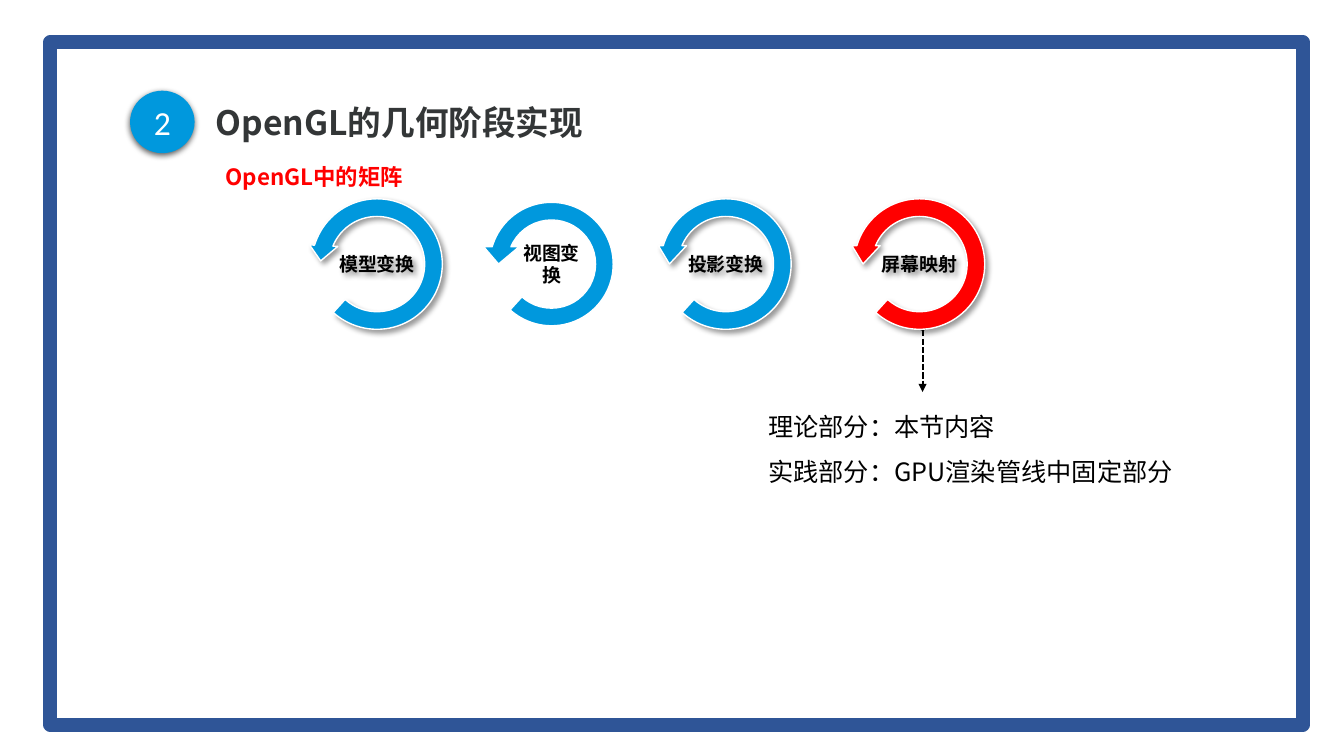
from lxml.etree import SubElement
from pptx import Presentation
from pptx.dml.color import RGBColor
from pptx.enum.dml import MSO_LINE
from pptx.enum.shapes import MSO_CONNECTOR, MSO_SHAPE
from pptx.enum.text import MSO_ANCHOR, MSO_AUTO_SIZE, PP_ALIGN
from pptx.oxml.ns import qn
from pptx.util import Inches, Pt

BLUE = RGBColor(0x00, 0x98, 0xDD)
NAVY = RGBColor(0x2F, 0x55, 0x97)
RED = RGBColor(0xFF, 0x00, 0x00)
GREY = RGBColor(0x33, 0x36, 0x37)
BLACK = RGBColor(0x00, 0x00, 0x00)
WHITE = RGBColor(0xFF, 0xFF, 0xFF)
SANS = "Noto Sans CJK SC"


def style(frame, size, color, bold=False, face=SANS, align=PP_ALIGN.LEFT, space=1.0):
    """Format every paragraph and run, for Latin and East Asian text alike."""
    for para in frame.paragraphs:
        para.alignment = align
        para.line_spacing = space
        for run in para.runs:
            font = run.font
            font.size, font.bold, font.name = Pt(size), bold, face
            font.color.rgb = color
            SubElement(run._r.get_or_add_rPr(), qn("a:ea"), typeface=face)


def shade(shape, alpha, blur, dist, angle):
    """Add a black outer shadow; alpha in percent, blur and dist in points."""
    effects = shape._element.spPr.find(qn("a:effectLst"))
    outer = SubElement(effects, qn("a:outerShdw"), blurRad=str(Pt(blur)),
                       dist=str(Pt(dist)), dir=str(angle * 60000),
                       algn="ctr", rotWithShape="0")
    black = SubElement(outer, qn("a:srgbClr"), val="000000")
    SubElement(black, qn("a:alpha"), val=str(alpha * 1000))


prs = Presentation()
prs.slide_width, prs.slide_height = Inches(13.33), Inches(7.5)
slide = prs.slides.add_slide(prs.slide_layouts[5])
shapes = slide.shapes

# Title
title = shapes.title
title.left, title.top = Inches(2.04), Inches(0.93)
title.width, title.height = Inches(8.35), Inches(0.61)
frame = title.text_frame
frame.text = "OpenGL的几何阶段实现"
frame.vertical_anchor = MSO_ANCHOR.MIDDLE
frame.auto_size = MSO_AUTO_SIZE.NONE
style(frame, 24, GREY, bold=True, space=0.9)

# Slide border
border = shapes.add_shape(MSO_SHAPE.RECTANGLE, Inches(0.5), Inches(0.42),
                          Inches(12.42), Inches(6.77))
border.shadow.inherit = False
border.fill.background()
border.line.color.rgb = NAVY
border.line.width = Pt(10)

# Section number
badge = shapes.add_shape(MSO_SHAPE.OVAL, Inches(1.29), Inches(0.9),
                         Inches(0.64), Inches(0.62))
badge.shadow.inherit = False
badge.fill.solid()
badge.fill.fore_color.rgb = BLUE
badge.line.fill.background()
shade(badge, 63, 4.5, 1.5, 90)
badge.text_frame.text = "2"
badge.text_frame.vertical_anchor = MSO_ANCHOR.MIDDLE
style(badge.text_frame, 24, WHITE, face="Calibri", align=PP_ALIGN.CENTER)

# Arrow from the last stage to its notes
arrow = shapes.add_connector(MSO_CONNECTOR.STRAIGHT, Inches(9.15), Inches(3.24),
                             Inches(9.15), Inches(3.89))
arrow.line.color.rgb = BLACK
arrow.line.width = Pt(1.5)
arrow.line.dash_style = MSO_LINE.SQUARE_DOT
edge = arrow.line._get_or_add_ln()
SubElement(edge, qn("a:headEnd"), type="oval")
SubElement(edge, qn("a:tailEnd"), type="triangle")
SubElement(arrow._element.spPr, qn("a:effectLst"))

# Stages: name, left, colour, head angle, head width, shadow
stages = [
    ("模型变换", 3.04, BLUE, 9.49, 0.1, True),
    ("视图变换", 4.77, BLUE, 11.42, 0.125, False),
    ("投影变换", 6.5, BLUE, 11.42, 0.1, True),
    ("屏幕映射", 8.42, RED, 11.42, 0.1, True),
]
for name, left, color, angle, head, raised in stages:
    ring = shapes.add_shape(MSO_SHAPE.CIRCULAR_ARROW, Inches(left), Inches(1.92),
                            Inches(1.4), Inches(1.4))
    for i, value in enumerate((0.125, angle, 204.58, 28.75, head)):
        ring.adjustments[i] = value
    ring._element.spPr.xfrm.set("flipH", "1")
    ring.shadow.inherit = False
    ring.fill.solid()
    ring.fill.fore_color.rgb = color
    ring.line.color.rgb = WHITE
    ring.line.width = Pt(1)
    if raised:
        shade(ring, 40, 4, 3, 45)
    frame = ring.text_frame
    frame.text = name
    frame.vertical_anchor = MSO_ANCHOR.MIDDLE
    frame.margin_left = frame.margin_right = Inches(0.07)
    frame.margin_top = frame.margin_bottom = Inches(0.04)
    style(frame, 13.5, BLACK, bold=True, align=PP_ALIGN.CENTER)

# Notes on the last stage
notes = shapes.add_textbox(Inches(7.55), Inches(3.89), Inches(5), Inches(0.98))
frame = notes.text_frame
frame.word_wrap = True
frame.margin_left = frame.margin_right = Inches(0.07)
frame.margin_top = frame.margin_bottom = Inches(0.04)
frame.text = "理论部分：本节内容\n实践部分：GPU渲染管线中固定部分"
style(frame, 18, BLACK, space=1.5)

# Red subtitle
label = shapes.add_textbox(Inches(2.14), Inches(1.57), Inches(2), Inches(0.64))
label.text_frame.word_wrap = True
label.text_frame.text = "OpenGL中的矩阵"
style(label.text_frame, 16, RED, bold=True)

prs.save("out.pptx")
